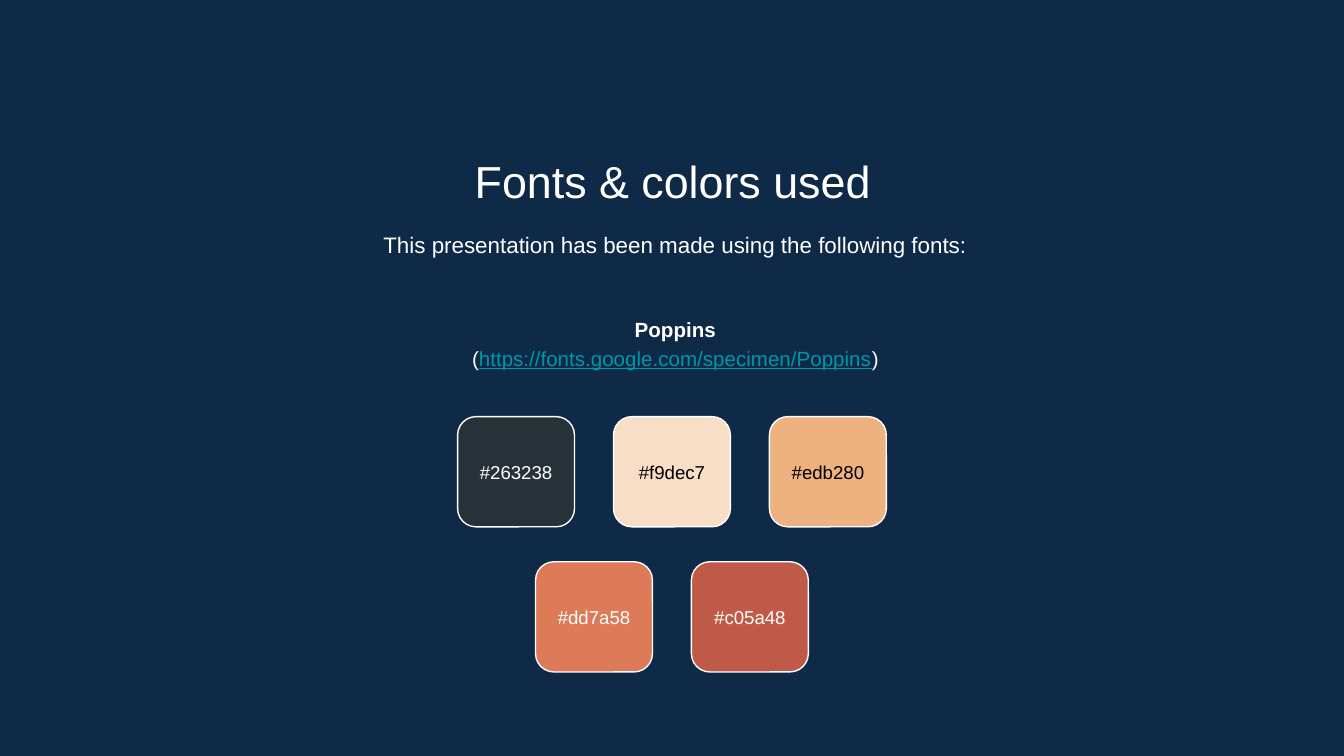
import pptx
import pptx.util
import pptx.dml.color
import pptx.enum.shapes
import pptx.enum.text

WIDE = 10
HIGH = WIDE * 9 / 16
TILE_W, TILE_H = 0.87, 0.82
STEP_X, STEP_Y = 1.16, 1.08
TOP = 3.1
WHITE, BLACK, TEAL, NAVY = "FFFFFF", "000000", "0097A7", "0E2A47"
ROWS = [
    [("#263238", WHITE), ("#f9dec7", BLACK), ("#edb280", BLACK)],
    [("#dd7a58", WHITE), ("#c05a48", WHITE)],
]


def color(code):
    """Turn a hex string into a colour."""
    return pptx.dml.color.RGBColor.from_string(code.lstrip("#").upper())


def place(left, top, width, height):
    """Turn a box in inches into lengths."""
    return [pptx.util.Inches(n) for n in (left, top, width, height)]


def style(run, size, ink, bold=False, line=False):
    """Format one run."""
    font = run.font
    font.name = "Arial"
    font.size = pptx.util.Pt(size)
    font.bold = bold
    font.underline = line
    font.color.rgb = color(ink)


def setup(frame, middle=False):
    """Set the wrap, margins and anchor of a text frame."""
    anchor = pptx.enum.text.MSO_ANCHOR
    frame.word_wrap = True
    frame.auto_size = pptx.enum.text.MSO_AUTO_SIZE.NONE
    frame.vertical_anchor = anchor.MIDDLE if middle else anchor.TOP
    frame.margin_left = frame.margin_right = pptx.util.Inches(0.1)
    frame.margin_top = frame.margin_bottom = pptx.util.Inches(0.1)


def center(para, space=1.0):
    """Centre a paragraph and set its line spacing."""
    para.alignment = pptx.enum.text.PP_ALIGN.CENTER
    para.line_spacing = space


def add_title(slide, text):
    """Move, fill and format the title."""
    title = slide.shapes.title
    title.left, title.top, title.width, title.height = place(1.15, 1.04, 7.71, 0.53)
    frame = title.text_frame
    setup(frame)
    frame.text = text
    center(frame.paragraphs[0])
    style(frame.paragraphs[0].runs[0], 24, WHITE)


def add_text(slide, box, text, size, ink=WHITE, bold=False, middle=False, space=1.0):
    """Add a centred text box and return its frame."""
    frame = slide.shapes.add_textbox(*place(*box)).text_frame
    setup(frame, middle)
    frame.text = text
    center(frame.paragraphs[0], space)
    style(frame.paragraphs[0].runs[0], size, ink, bold)
    return frame


def add_source(frame, link):
    """Add the font's address in brackets below its name."""
    para = frame.add_paragraph()
    center(para, 1.15)
    for text, ink, line in (("(", WHITE, False), (link, TEAL, True), (")", WHITE, False)):
        run = para.add_run()
        run.text = text
        style(run, 11, ink, line=line)


def add_tile(slide, left, top, code, ink):
    """Add a colour tile with its code."""
    kind = pptx.enum.shapes.MSO_SHAPE.ROUNDED_RECTANGLE
    tile = slide.shapes.add_shape(kind, *place(left, top, TILE_W, TILE_H))
    tile.shadow.inherit = False
    tile.fill.solid()
    tile.fill.fore_color.rgb = color(code)
    tile.line.color.rgb = color(WHITE)
    tile.line.width = pptx.util.Pt(0.75)
    add_text(slide, (left, top + 0.17, TILE_W, 0.48), code, 10, ink, middle=True)


def add_tiles(slide):
    """Add the rows of tiles, each centred on the slide."""
    for row, tiles in enumerate(ROWS):
        start = (WIDE - TILE_W - (len(tiles) - 1) * STEP_X) / 2
        for col, (code, ink) in enumerate(tiles):
            add_tile(slide, start + col * STEP_X, TOP + row * STEP_Y, code, ink)


def main():
    """Build and save the slide."""
    deck = pptx.Presentation()
    deck.slide_width = pptx.util.Inches(WIDE)
    deck.slide_height = pptx.util.Inches(HIGH)
    slide = deck.slides.add_slide(deck.slide_layouts[5])
    slide.background.fill.solid()
    slide.background.fill.fore_color.rgb = color(NAVY)
    add_title(slide, "Fonts & colors used")
    add_text(slide, (1.17, 1.59, 7.71, 0.48),
             "This presentation has been made using the following fonts:", 12, space=1.15)
    frame = add_text(slide, (1.17, 2.1, 7.71, 0.89), "Poppins", 11,
                     bold=True, middle=True, space=1.15)
    add_source(frame, "https://fonts.google.com/specimen/Poppins")
    add_tiles(slide)
    deck.save("out.pptx")


if __name__ == "__main__":
    main()
